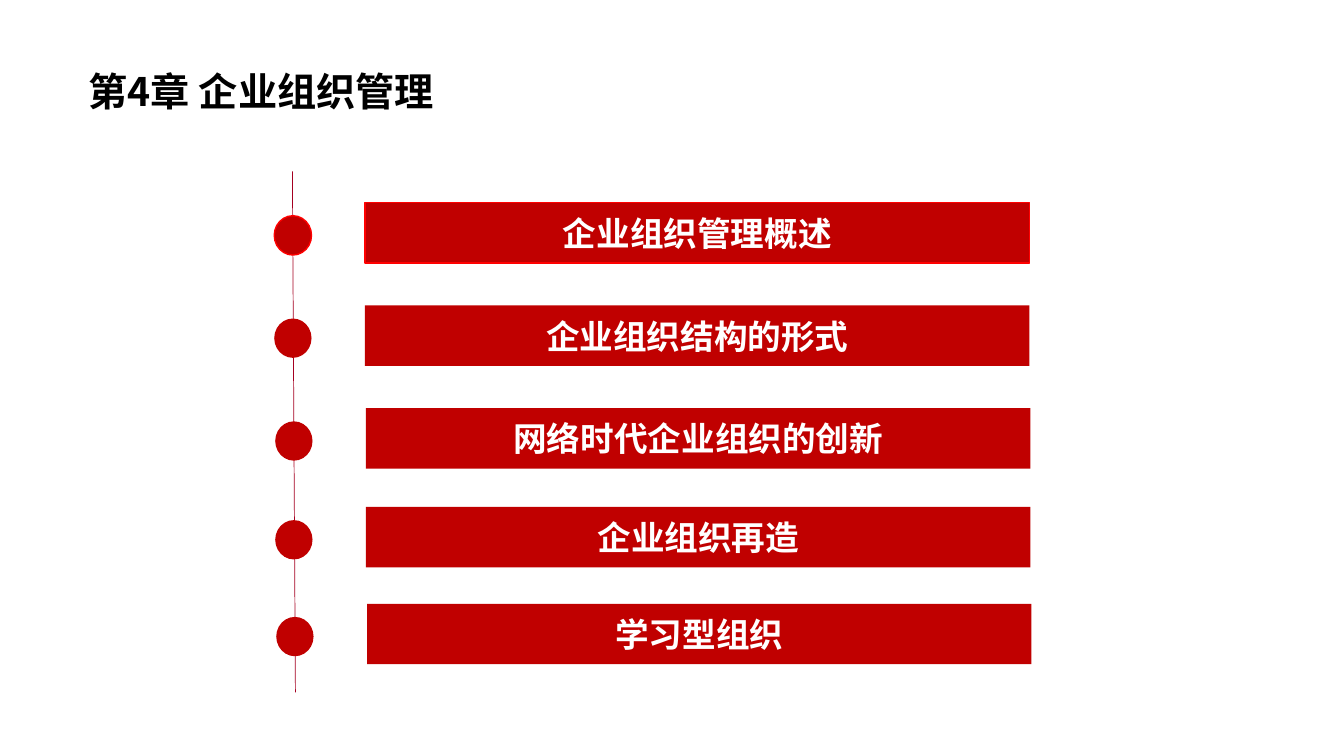
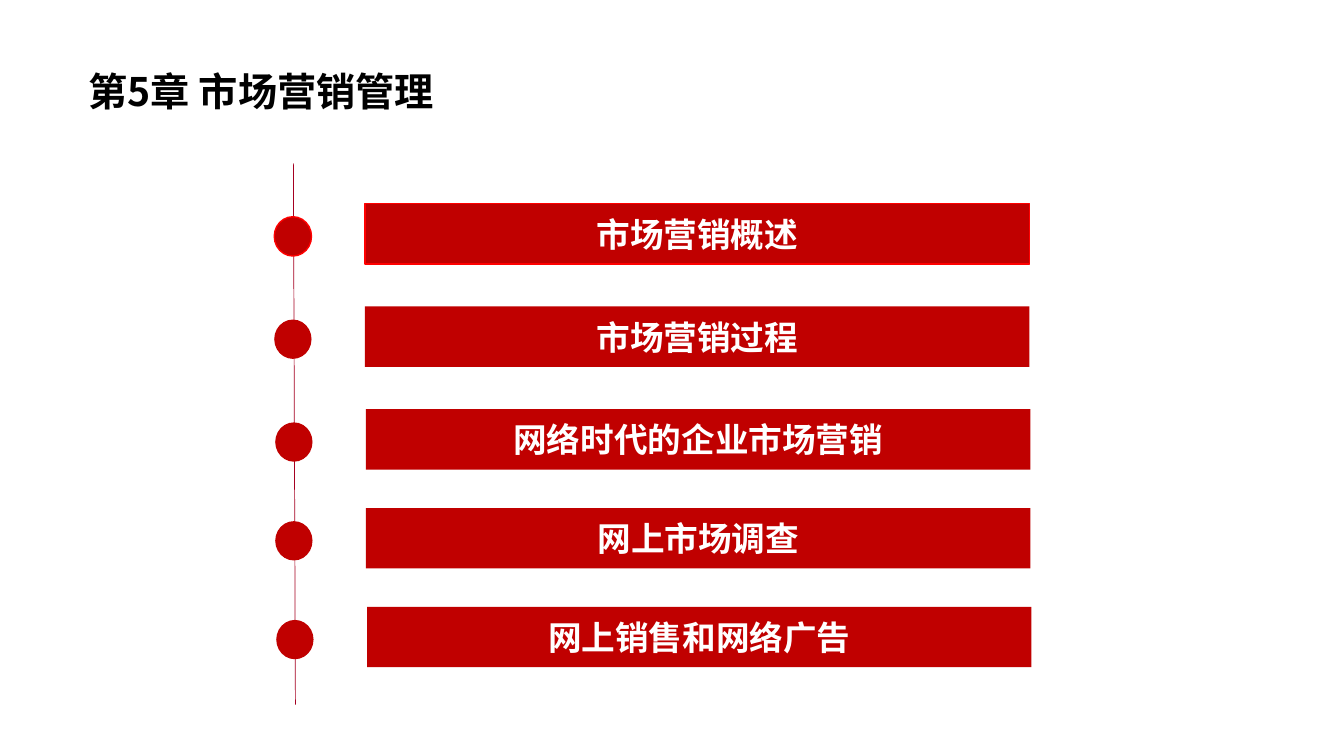
from dataclasses import dataclass

from lxml.etree import SubElement as Sub
from pptx import Presentation
from pptx.dml.color import RGBColor as RGB
from pptx.enum.shapes import MSO_CONNECTOR as Conn, MSO_SHAPE as Kind
from pptx.enum.text import MSO_ANCHOR as Anchor, PP_ALIGN as Align
from pptx.oxml.ns import qn
from pptx.util import Inches, Pt


@dataclass(frozen=True)
class Theme:
    font: str = "Noto Sans CJK SC"
    red: RGB = RGB(0xC0, 0x00, 0x00)
    edge: RGB = RGB(0xFF, 0x00, 0x00)
    rail: RGB = RGB(0xA5, 0x00, 0x21)
    black: RGB = RGB(0x00, 0x00, 0x00)
    white: RGB = RGB(0xFF, 0xFF, 0xFF)
    title: int = 28
    item: int = 24
    edge_width: float = 1
    rail_width: float = 0.5


THEME = Theme()
TITLE_BOX = (0.74, 0.48, 7.9, 0.85)
BAR = (6.59, 0.6)
DOT = (0.37, 0.39)
DOT_SHIFT = (-0.9, 0.13)  # dot corner, measured from its bar's corner
LEFT, DRIFT = 3.62, 0.01  # rows step right a little, two by two

# Title, rail ends, and the top of each bar with its text
CHAPTERS = [
    ("第4章 企业组织管理", (2.9, 1.7, 2.93, 6.87), [
        (2.01, "企业组织管理概述"),
        (3.03, "企业组织结构的形式"),
        (4.05, "网络时代企业组织的创新"),
        (5.03, "企业组织再造"),
        (5.99, "学习型组织"),
    ]),
    ("第5章 市场营销管理", (2.91, 1.62, 2.93, 6.99), [
        (2.02, "市场营销概述"),
        (3.04, "市场营销过程"),
        (4.06, "网络时代的企业市场营销"),
        (5.04, "网上市场调查"),
        (6.02, "网上销售和网络广告"),
    ]),
]


def shape(parent, kind, box, fill=None, edge=None):
    part = parent.shapes.add_shape(kind, *map(Inches, box))
    part.shadow.inherit = False
    if fill is None:
        part.fill.background()
    else:
        part.fill.solid()
        part.fill.fore_color.rgb = fill
    if edge is None:
        part.line.fill.background()
    else:
        part.line.color.rgb = edge
        part.line.width = Pt(THEME.edge_width)
    return part


def write(part, text, size, color, align, before=0):
    frame = part.text_frame
    frame.text = text
    frame.word_wrap = True
    frame.vertical_anchor = Anchor.MIDDLE
    para = frame.paragraphs[0]
    para.alignment = align
    para.space_before = Pt(before)
    for run in para.runs:
        font = run.font
        font.name, font.size, font.bold = THEME.font, Pt(size), True
        font.color.rgb = color
        # East Asian glyphs take their own typeface setting
        Sub(run._r.get_or_add_rPr(), qn("a:ea"), typeface=THEME.font)


def rail(slide, ends):
    line = slide.shapes.add_connector(Conn.STRAIGHT, *map(Inches, ends))
    line.line.color.rgb = THEME.rail
    line.line.width = Pt(THEME.rail_width)
    Sub(line._element.spPr, qn("a:effectLst"))


def title(slide, text, box):
    part = shape(slide, Kind.ROUNDED_RECTANGLE, box)
    write(part, text, THEME.title, THEME.black, Align.JUSTIFY)


def row(slide, left, top, text, edge):
    group = slide.shapes.add_group_shape()
    dx, dy = DOT_SHIFT
    shape(group, Kind.OVAL, (left + dx, top + dy, *DOT), THEME.red, edge)
    bar = shape(group, Kind.RECTANGLE, (left, top, *BAR), THEME.red, edge)
    write(bar, text, THEME.item, THEME.white, Align.CENTER, before=10)


def chapter(deck, name, ends, items):
    slide = deck.slides.add_slide(deck.slide_layouts[6])
    rail(slide, ends)
    title(slide, name, TITLE_BOX)
    for i, (top, text) in enumerate(items):
        # Only the first row is outlined
        edge = THEME.edge if i == 0 else None
        row(slide, LEFT + DRIFT * (i // 2), top, text, edge)


def main():
    deck = Presentation()
    deck.slide_width, deck.slide_height = Inches(13.33), Inches(7.5)
    for name, ends, items in CHAPTERS:
        chapter(deck, name, ends, items)
    deck.save("out.pptx")


if __name__ == "__main__":
    main()
